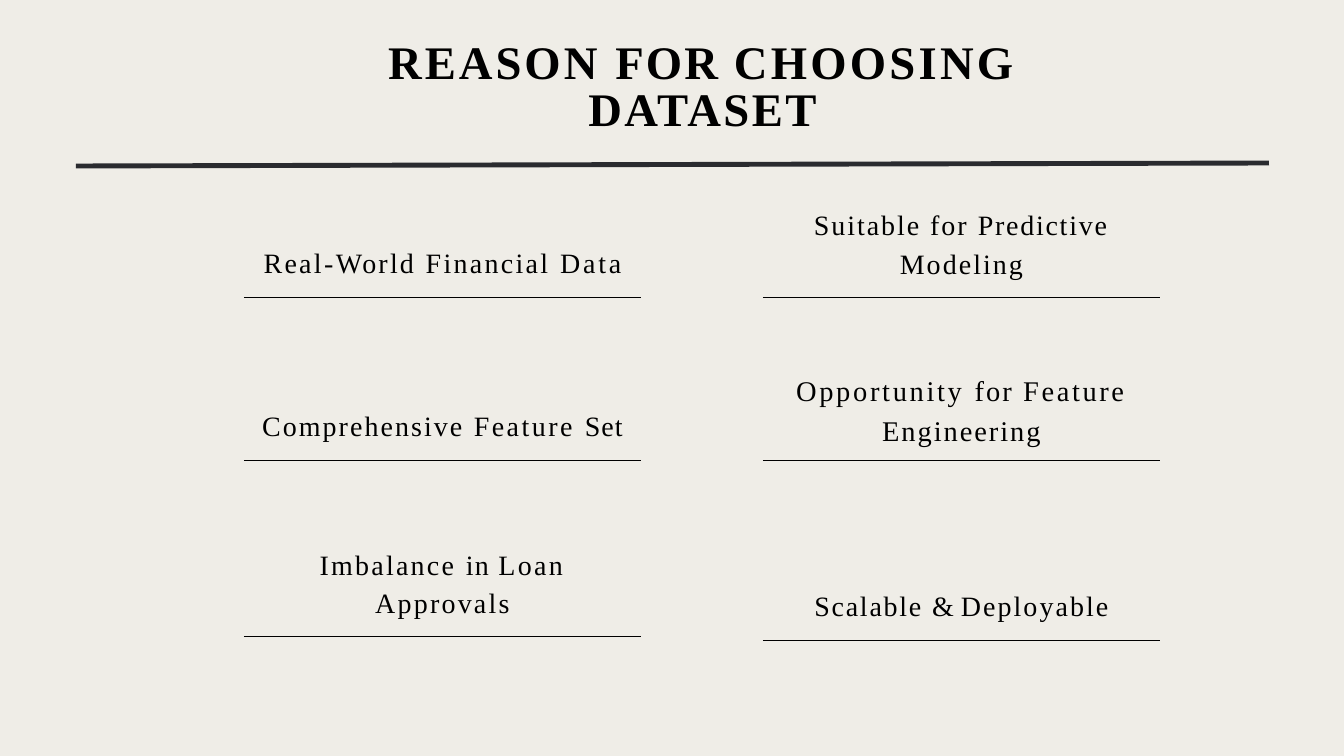
from lxml.etree import SubElement
from pptx import Presentation
from pptx.dml.color import RGBColor
from pptx.enum.shapes import MSO_CONNECTOR
from pptx.enum.text import PP_ALIGN
from pptx.oxml.ns import qn
from pptx.util import Emu, Pt

SCALE = 914400 / 67.2
SLIDE_WIDTH, SLIDE_HEIGHT = 1344, 756
FONT = "Times New Roman"
PAPER = RGBColor(0xEF, 0xED, 0xE7)
BLACK = RGBColor(0x00, 0x00, 0x00)
CHARCOAL = RGBColor(0x2A, 0x2B, 0x2F)

TITLE = [("REASON ", 3.2), ("FOR ", 2.2), ("CHOOSING ", 3.5), ("DATASET", 2.6)]
COLUMN_LEFTS = (244, 763)
RULE_WIDTH = 397

# Each reason: column, rule y, box top, width, height, size, line spacing, runs
REASONS = [
    (0, 297, 245, 369, 36, 30, 1.0,
     [("Real-", 2.5), ("World ", 2.4), ("Financial ", 2.5), ("Data", 3)]),
    (0, 460, 408, 369, 36, 30, 1.0,
     [("Comprehensive ", 2.2), ("Feature ", 2.7), ("Set", 1.2)]),
    (0, 636, 541, 260, 79, 30, 1.15,
     [("Imbalance ", 2.4), ("in ", 1.4), ("Loan ", 2.5), ("Approvals", 2.4)]),
    (1, 297, 202, 337, 79, 30, 1.15,
     [("Suitable for ", 2.1), ("Predictive ", 1.9), ("Modeling", 2.2)]),
    (1, 460, 366, 337, 80, 30.5, 1.17,
     [("Opportunity ", 2.9), ("for ", 2.2), ("Feature ", 2.8), ("Engineering", 2.1)]),
    (1, 640, 588, 305, 36, 30, 1.0,
     [("Scalable ", 1.9), ("& ", 0), ("Deployable", 2.2)]),
]


def px(length):
    """Turn a length in px into EMU."""
    return Emu(round(length * SCALE))


def add_text(page, left, top, width, height, spans, size, line_spacing,
             space_before=1, bold=False, inset_left=0, inset_top=1):
    """Add a centred paragraph whose spans are (text, letter spacing) pairs."""
    box = page.shapes.add_textbox(px(left), px(top), px(width), px(height))
    frame = box.text_frame
    frame.word_wrap = True
    frame.margin_left, frame.margin_top = px(inset_left), px(inset_top)
    frame.margin_right = frame.margin_bottom = 0
    para = frame.paragraphs[0]
    para.alignment = PP_ALIGN.CENTER
    para.line_spacing = line_spacing
    para.space_before = Pt(space_before)
    para.font.name = FONT
    para.font.size = Pt(size)
    para.font.bold = bold
    para.font.color.rgb = BLACK
    for text, spacing in spans:
        span = para.add_run()
        span.text = text
        span._r.get_or_add_rPr().set("spc", str(round(spacing * 100)))


def add_rule(page, start_x, start_y, end_x, end_y, color, weight):
    """Add a straight line without a shadow."""
    rule = page.shapes.add_connector(
        MSO_CONNECTOR.STRAIGHT, px(start_x), px(start_y), px(end_x), px(end_y))
    rule.line.color.rgb = color
    rule.line.width = Pt(weight)
    SubElement(rule._element.spPr, qn("a:effectLst"))


def add_reason(page, column, rule_y, top, width, height, size, line_spacing, spans):
    """Add a reason centred over the rule of its column."""
    left = COLUMN_LEFTS[column]
    add_rule(page, left, rule_y, left + RULE_WIDTH, rule_y, BLACK, 0.75)
    add_text(page, left + (RULE_WIDTH - width) / 2, top, width, height,
             spans, size, line_spacing)


def main():
    """Build the slide and save the deck."""
    deck = Presentation()
    deck.slide_width, deck.slide_height = px(SLIDE_WIDTH), px(SLIDE_HEIGHT)
    page = deck.slides.add_slide(deck.slide_layouts[6])
    page.background.fill.solid()
    page.background.fill.fore_color.rgb = PAPER
    add_text(page, 318, 32, 709, 104, TITLE, 50, Pt(49.5),
             space_before=11.4, bold=True, inset_left=60, inset_top=11)
    for reason in REASONS:
        add_reason(page, *reason)
    add_rule(page, 76, 166, 1269, 163, CHARCOAL, 5.25)
    deck.save("out.pptx")


if __name__ == "__main__":
    main()
